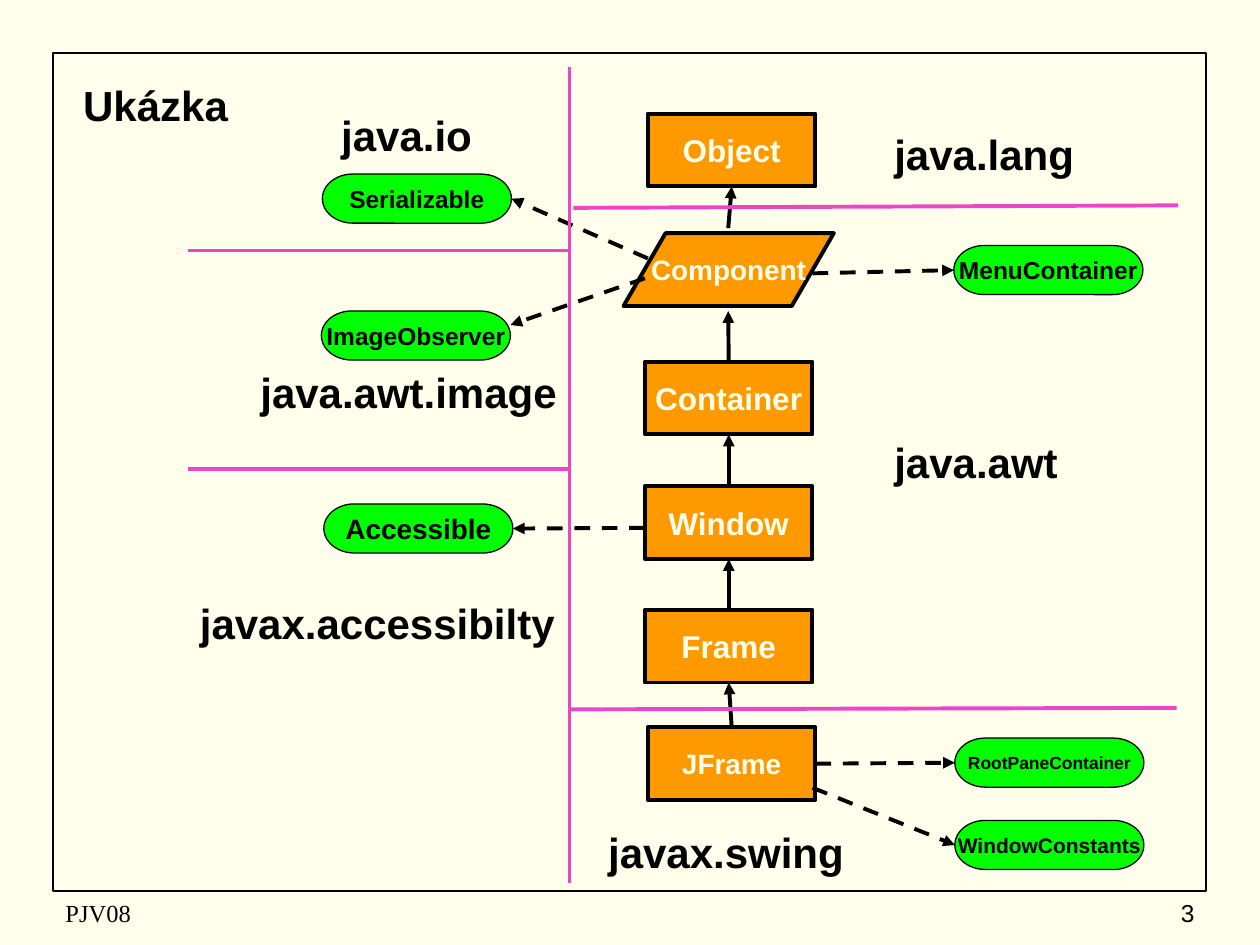
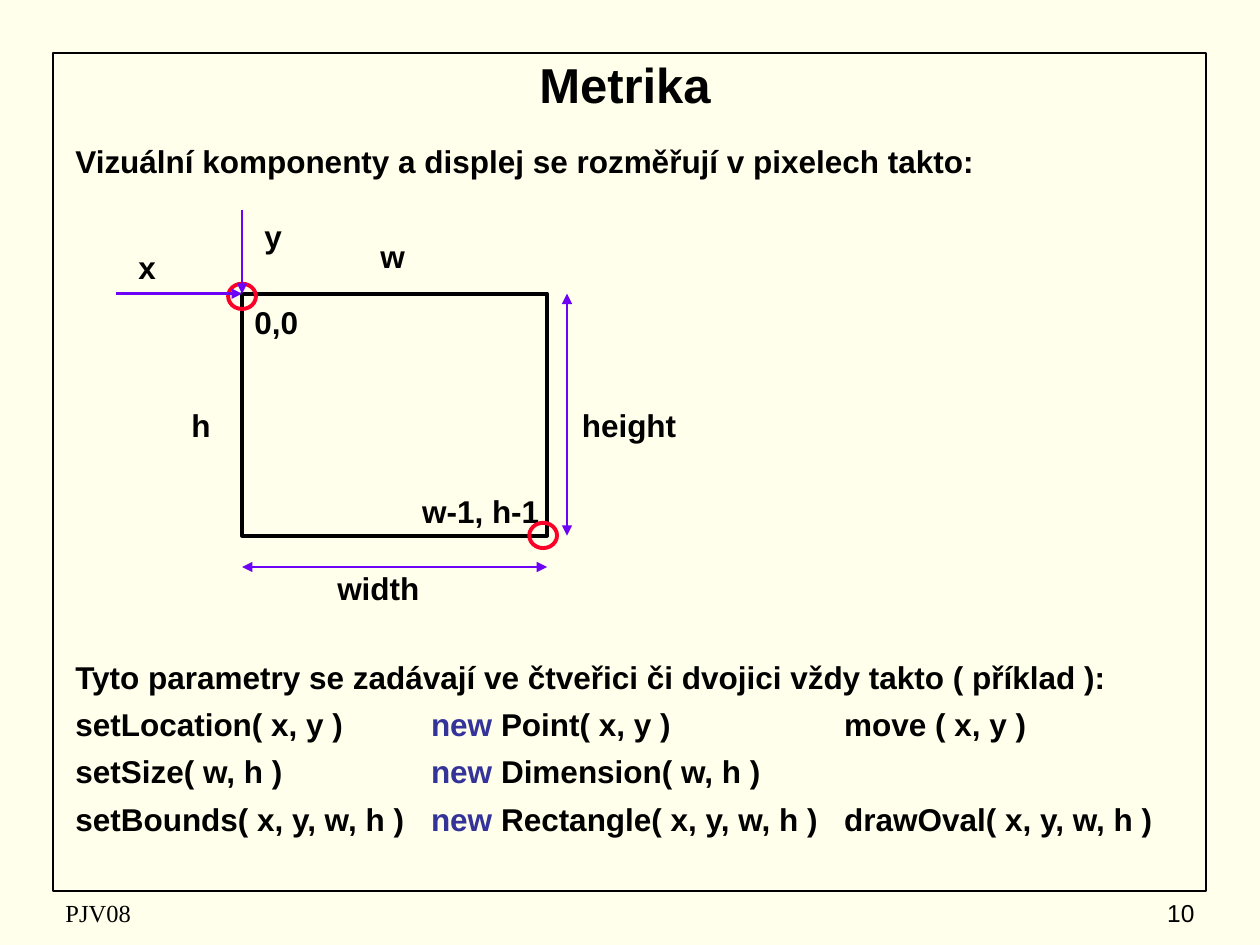
from dataclasses import dataclass

from lxml import etree
from pptx import Presentation
from pptx.dml.color import RGBColor
from pptx.enum.dml import MSO_LINE
from pptx.enum.shapes import MSO_CONNECTOR, MSO_SHAPE
from pptx.enum.text import MSO_ANCHOR, PP_ALIGN
from pptx.oxml.ns import qn
from pptx.util import Cm, Pt

RECTANGLE, ELLIPSE = MSO_SHAPE.RECTANGLE, MSO_SHAPE.OVAL
PARALLELOGRAM = MSO_SHAPE.FLOWCHART_DATA
TERMINATOR = MSO_SHAPE.FLOWCHART_TERMINATOR
STRAIGHT, DASH = MSO_CONNECTOR.STRAIGHT, MSO_LINE.DASH
LEFT, CENTER, RIGHT = PP_ALIGN.LEFT, PP_ALIGN.CENTER, PP_ALIGN.RIGHT
TOP, MIDDLE = MSO_ANCHOR.TOP, MSO_ANCHOR.MIDDLE
TOP_SIDE, LEFT_SIDE, BOTTOM_SIDE, RIGHT_SIDE = range(4)

# Shared colours and fonts
CREAM, BLACK, ORANGE, GREEN = "FFFFEB", "000000", "FF9900", "00FF00"
PINK, VIOLET, RED, KEYWORD_BLUE = "EC46C8", "6C03F7", "FC0128", "333399"
SANS, SERIF = "Arial", "Times New Roman"

Point = tuple[float, float]
Run = tuple[str, str]


@dataclass(frozen=True)
class TextStyle:
    size: float
    bold: bool = True
    font: str = SANS
    align: int = LEFT
    anchor: int = TOP
    wrap: bool = True
    gap: float = 0
    tabs: tuple[float, ...] = ()


@dataclass(frozen=True)
class Label:
    text: str
    left: float
    top: float
    width: float


@dataclass(frozen=True)
class Node:
    text: str
    left: float
    top: float
    size: float


@dataclass(frozen=True)
class NodeKind:
    preset: int
    width: float
    height: float
    fill: str
    text_color: str
    line_width: float


@dataclass(frozen=True)
class Side:
    node: str
    site: int


@dataclass(frozen=True)
class Stroke:
    color: str
    width: float
    dashed: bool = False
    start_arrow: bool = False
    end_arrow: bool = False


TITLE = TextStyle(28, align=CENTER, anchor=MIDDLE)
BODY = TextStyle(18)
PARAMETERS = TextStyle(18, gap=5.4, tabs=(7.17, 15.5))
PACKAGE = TextStyle(24)
HEADING = TextStyle(24, align=CENTER)
FOOTER = TextStyle(14, bold=False, font=SERIF, anchor=MIDDLE)
PAGE_NUMBER = TextStyle(14, bold=False, align=RIGHT, anchor=MIDDLE)

CLASS = NodeKind(RECTANGLE, 3.38, 1.47, ORANGE, CREAM, 2.25)
ABSTRACT_CLASS = NodeKind(PARALLELOGRAM, 4.24, 1.47, ORANGE, CREAM, 2.25)
INTERFACE = NodeKind(TERMINATOR, 3.81, 0.99, GREEN, BLACK, 0.75)

EXTENDS = Stroke(BLACK, 2.25, end_arrow=True)
IMPLEMENTS = Stroke(BLACK, 2.25, dashed=True, end_arrow=True)
DIVIDER = Stroke(PINK, 2.25)
DIMENSION = Stroke(VIOLET, 1.5, start_arrow=True, end_arrow=True)
X_OFFSET = Stroke(VIOLET, 1.5, end_arrow=True)
Y_OFFSET = Stroke(VIOLET, 1, end_arrow=True)


# Drawing helpers
def rgb(color: str) -> RGBColor:
    return RGBColor.from_string(color)


def set_attributes(target, values: dict) -> None:
    for name, value in values.items():
        setattr(target, name, value)


def write(frame, lines: list[list[Run]], style: TextStyle) -> None:
    set_attributes(frame, {
        "word_wrap": style.wrap, "vertical_anchor": style.anchor,
        "margin_left": Cm(0.25), "margin_right": Cm(0.25),
        "margin_top": Cm(0.13), "margin_bottom": Cm(0.13),
    })
    for number, line in enumerate(lines):
        paragraph = frame.add_paragraph() if number else frame.paragraphs[0]
        paragraph.alignment = style.align
        if number and style.gap:
            paragraph.space_before = Pt(style.gap)
        if style.tabs:
            stops = etree.SubElement(paragraph._p.get_or_add_pPr(), qn("a:tabLst"))
            for stop in style.tabs:
                etree.SubElement(stops, qn("a:tab"), pos=str(Cm(stop)), algn="l")
        for text, color in line:
            run = paragraph.add_run()
            run.text = text
            set_attributes(run.font, {"name": style.font, "size": Pt(style.size),
                                      "bold": style.bold})
            run.font.color.rgb = rgb(color)


def add_text(slide, label: Label, height: float, style: TextStyle) -> None:
    box = slide.shapes.add_textbox(Cm(label.left), Cm(label.top),
                                   Cm(label.width), Cm(height))
    write(box.text_frame, [[(label.text, BLACK)]], style)


def add_outline(slide, preset: int, left: float, top: float, width: float,
                height: float, color: str, line_width: float,
                fill: str | None = None):
    shape = slide.shapes.add_shape(preset, Cm(left), Cm(top), Cm(width), Cm(height))
    shape.shadow.inherit = False
    if fill:
        shape.fill.solid()
        shape.fill.fore_color.rgb = rgb(fill)
    else:
        shape.fill.background()
    shape.line.color.rgb = rgb(color)
    shape.line.width = Pt(line_width)
    return shape


def add_node(slide, node: Node, kind: NodeKind):
    shape = add_outline(slide, kind.preset, node.left, node.top, kind.width,
                        kind.height, BLACK, kind.line_width, kind.fill)
    style = TextStyle(node.size, align=CENTER, anchor=MIDDLE, wrap=False)
    write(shape.text_frame, [[(node.text, kind.text_color)]], style)
    return shape


def add_line(slide, start: Point | Side, end: Point | Side, stroke: Stroke,
             nodes: dict | None = None) -> None:
    start_point, end_point = ((0, 0) if isinstance(tip, Side) else tip
                              for tip in (start, end))
    line = slide.shapes.add_connector(STRAIGHT, *map(Cm, start_point + end_point))
    for tip, join in ((start, line.begin_connect), (end, line.end_connect)):
        if isinstance(tip, Side):
            join(nodes[tip.node], tip.site)
    line.line.color.rgb = rgb(stroke.color)
    line.line.width = Pt(stroke.width)
    if stroke.dashed:
        line.line.dash_style = DASH
    outline = line.line._get_or_add_ln()
    for tag, shown in (("a:headEnd", stroke.start_arrow), ("a:tailEnd", stroke.end_arrow)):
        if shown:
            etree.SubElement(outline, qn(tag), type="triangle")
    etree.SubElement(line._element.spPr, qn("a:effectLst"))


def new_slide(deck, number: int):
    """Blank slide with the shared background, frame and footer."""
    slide = deck.slides.add_slide(deck.slide_layouts[6])
    slide.background.fill.solid()
    slide.background.fill.fore_color.rgb = rgb(CREAM)
    add_outline(slide, RECTANGLE, 1.07, 1.07, 23.24, 16.89, BLACK, 1)
    add_text(slide, Label("PJV08", 1.07, 17.98, 8.03), 0.84, FOOTER)
    add_text(slide, Label(str(number), 19.05, 17.98, 5.28), 0.84, PAGE_NUMBER)
    return slide


# Slide content: class hierarchy
HIERARCHY = {
    CLASS: [
        Node("Object", 13.06, 2.29, 18),
        Node("Container", 13, 7.29, 18),
        Node("Window", 13, 9.8, 18),
        Node("Frame", 13, 12.29, 18),
        Node("JFrame", 13.06, 14.66, 16),
    ],
    ABSTRACT_CLASS: [Node("Component", 12.57, 4.7, 16)],
    INTERFACE: [
        Node("Serializable", 6.5, 3.51, 14),
        Node("ImageObserver", 6.48, 6.27, 14),
        Node("MenuContainer", 19.23, 4.95, 14),
        Node("Accessible", 6.53, 10.16, 16),
        Node("RootPaneContainer", 19.25, 14.88, 10),
        Node("WindowConstants", 19.25, 16.54, 12),
    ],
}
PACKAGES = [
    Label("java.io", 6.63, 2.08, 3.76),
    Label("java.lang", 17.78, 2.46, 4.32),
    Label("java.awt.image", 5, 7.26, 7.24),
    Label("java.awt", 17.78, 8.66, 4.32),
    Label("javax.accessibilty", 3.78, 11.91, 8.38),
    Label("javax.swing", 12.01, 16.54, 5.49),
]
SUBCLASS_CHAIN = ["Container", "Window", "Frame", "JFrame"]
INHERITANCE = [
    ((14.68, 4.6), Side("Object", BOTTOM_SIDE)),
    (Side("Container", TOP_SIDE), (14.68, 6.27)),
] + [(Side(child, TOP_SIDE), Side(parent, BOTTOM_SIDE))
     for parent, child in zip(SUBCLASS_CHAIN, SUBCLASS_CHAIN[1:])]
REALIZATIONS = [
    ((13.06, 5.21), Side("Serializable", RIGHT_SIDE)),
    ((13, 5.61), (10.29, 6.55)),
    ((16.38, 5.51), Side("MenuContainer", LEFT_SIDE)),
    ((13, 10.64), Side("Accessible", RIGHT_SIDE)),
    (Side("JFrame", RIGHT_SIDE), Side("RootPaneContainer", LEFT_SIDE)),
    ((16.38, 15.88), Side("WindowConstants", LEFT_SIDE)),
]
PACKAGE_BORDERS = [
    ((11.48, 1.35), (11.48, 17.81)),
    ((3.78, 5.05), (11.51, 5.05)),
    ((3.78, 9.45), (11.51, 9.45)),
    ((11.56, 4.19), (23.75, 4.14)),
    ((11.51, 14.3), (23.72, 14.27)),
]

# Slide content: metrics
MEASURES = [
    Label("x", 2.54, 4.88, 1.07),
    Label("y", 5.08, 4.24, 1.27),
    Label("w", 7.42, 4.65, 1.47),
    Label("h", 3.61, 8.05, 0.84),
    Label("0,0", 4.88, 5.97, 1.47),
    Label("w-1, h-1", 8.26, 9.78, 2.97),
    Label("width", 6.55, 11.35, 2.34),
    Label("height", 11.48, 8.05, 2.54),
]
CALLS = [
    ("setLocation( x, y )", " Point( x, y )\tmove ( x, y )"),
    ("setSize( w, h )", " Dimension( w, h )"),
    ("setBounds( x, y, w, h )", " Rectangle( x, y, w, h )\tdrawOval( x, y, w, h )"),
]


def build_hierarchy(deck) -> None:
    slide = new_slide(deck, 3)
    add_text(slide, Label("Ukázka", 1.27, 1.47, 3.73), 1.27, HEADING)
    nodes = {node.text: add_node(slide, node, kind)
             for kind, members in HIERARCHY.items() for node in members}
    for package in PACKAGES:
        add_text(slide, package, 1.27, PACKAGE)
    for stroke, lines in ((EXTENDS, INHERITANCE), (IMPLEMENTS, REALIZATIONS),
                          (DIVIDER, PACKAGE_BORDERS)):
        for start, end in lines:
            add_line(slide, start, end, stroke, nodes)


def build_metrics(deck) -> None:
    slide = new_slide(deck, 10)
    add_text(slide, Label("Metrika", 1.27, 0.84, 22.66), 1.7, TITLE)
    intro = "Vizuální komponenty a displej se rozměřují v pixelech takto:"
    add_text(slide, Label(intro, 1.27, 2.74, 23.29), 1.27, BODY)

    # Measured component with its dimensions
    left, top, width, height = 4.88, 5.92, 6.15, 4.88
    right, bottom = left + width, top + height
    add_outline(slide, RECTANGLE, left, top, width, height, BLACK, 2.25)
    add_line(slide, (left, 11.43), (right, 11.43), DIMENSION)
    add_line(slide, (11.43, bottom), (11.43, top), DIMENSION)
    for measure in MEASURES:
        add_text(slide, measure, 1.02, BODY)
    for corner_left, corner_top in ((4.6, 5.72), (10.67, 10.54)):
        add_outline(slide, ELLIPSE, corner_left, corner_top, 0.56, 0.51, RED, 2.25)
    add_line(slide, (2.34, top), (left, top), X_OFFSET)
    add_line(slide, (left, 4.24), (left, top), Y_OFFSET)

    # Calls that take these parameters
    heading = "Tyto parametry se zadávají ve čtveřici či dvojici vždy takto ( příklad ):"
    lines = [[(heading, BLACK)]] + [
        [(setter + "\t", BLACK), ("new", KEYWORD_BLUE), (rest, BLACK)]
        for setter, rest in CALLS]
    box = slide.shapes.add_textbox(Cm(1.27), Cm(13.13), Cm(22.86), Cm(4.88))
    write(box.text_frame, lines, PARAMETERS)


def main() -> None:
    deck = Presentation()
    deck.slide_width, deck.slide_height = Cm(25.4), Cm(19.05)
    build_hierarchy(deck)
    build_metrics(deck)
    deck.save("out.pptx")


if __name__ == "__main__":
    main()
